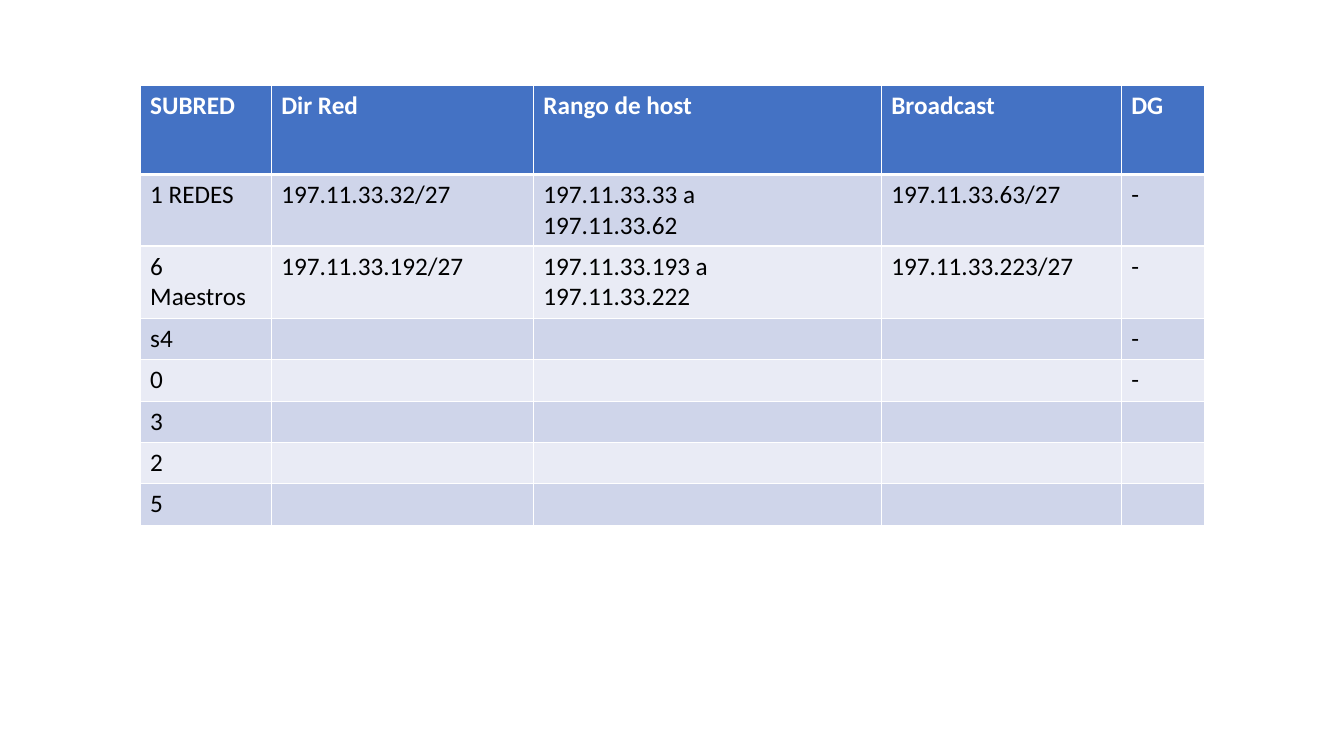
from dataclasses import dataclass

from lxml.etree import SubElement as Sub
from pptx import Presentation
from pptx.dml.color import RGBColor as Color
from pptx.oxml.ns import qn
from pptx.util import Inches, Pt


@dataclass(frozen=True)
class Theme:
    font: str = "Calibri"
    size: int = 18
    head: str = "4472C4"
    bands: tuple = ("CFD5EA", "E9EBF5")
    light: str = "FFFFFF"
    dark: str = "000000"
    thin: int = 1
    thick: int = 3


class Deck:
    def __init__(self, theme):
        self.theme = theme
        self.prs = Presentation()
        self.prs.slide_width = Inches(13.33)
        self.prs.slide_height = Inches(7.5)
        self.slide = self.prs.slides.add_slide(self.prs.slide_layouts[6])

    def table(self, left, top, cols, rows, data):
        grid = self.slide.shapes.add_table(
            len(rows), len(cols), Inches(left), Inches(top),
            Inches(sum(cols)), Inches(sum(rows))).table
        for col, width in zip(grid.columns, cols):
            col.width = Inches(width)
        for row, height in zip(grid.rows, rows):
            row.height = Inches(height)
        for i, line in enumerate(data):
            for j, text in enumerate(line):
                self.cell(grid.cell(i, j), i, text)

    def cell(self, cell, row, text):
        look = self.theme
        # A thick rule parts the header from the body
        self.edges(cell, look.thick if row == 1 else look.thin,
                   look.thick if row == 0 else look.thin)
        cell.fill.solid()
        cell.fill.fore_color.rgb = Color.from_string(
            look.bands[(row - 1) % 2] if row else look.head)
        frame = cell.text_frame
        for n, part in enumerate(text.split("\n")):
            para = frame.add_paragraph() if n else frame.paragraphs[0]
            para.font.size = Pt(look.size)
            if part:
                self.run(para, part, row == 0)

    def run(self, para, text, head):
        run = para.add_run()
        run.text = text
        font = run.font
        font.name = self.theme.font
        font.size = Pt(self.theme.size)
        font.bold = head
        font.color.rgb = Color.from_string(
            self.theme.light if head else self.theme.dark)

    def edges(self, cell, top, bottom):
        props = cell._tc.get_or_add_tcPr()
        thin = self.theme.thin
        for side, width in zip("LRTB", (thin, thin, top, bottom)):
            line = Sub(props, qn(f"a:ln{side}"), w=str(Pt(width)))
            fill = Sub(line, qn("a:solidFill"))
            Sub(fill, qn("a:srgbClr"), val=self.theme.light)


# Subnet plan
HEAD = ("SUBRED", "Dir Red", "Rango de host", "Broadcast", "DG")
NETS = [
    ("1 REDES", "197.11.33.32/27", "197.11.33.33 a\n197.11.33.62",
     "197.11.33.63/27", "-"),
    ("6 Maestros", "197.11.33.192/27", "197.11.33.193 a\n197.11.33.222",
     "197.11.33.223/27", "-"),
]
OPEN = [(name, "", "", "", mark) for name, mark in
        (("s4", "-"), ("0", "-"), ("3", ""), ("2", ""), ("5", ""))]

deck = Deck(Theme())
deck.table(1.39, 0.85, cols=(1.3, 2.6, 3.45, 2.38, 0.83),
           rows=[0.88, 0.71, 0.72] + [0.41] * len(OPEN),
           data=[HEAD, *NETS, *OPEN])
deck.prs.save("out.pptx")
